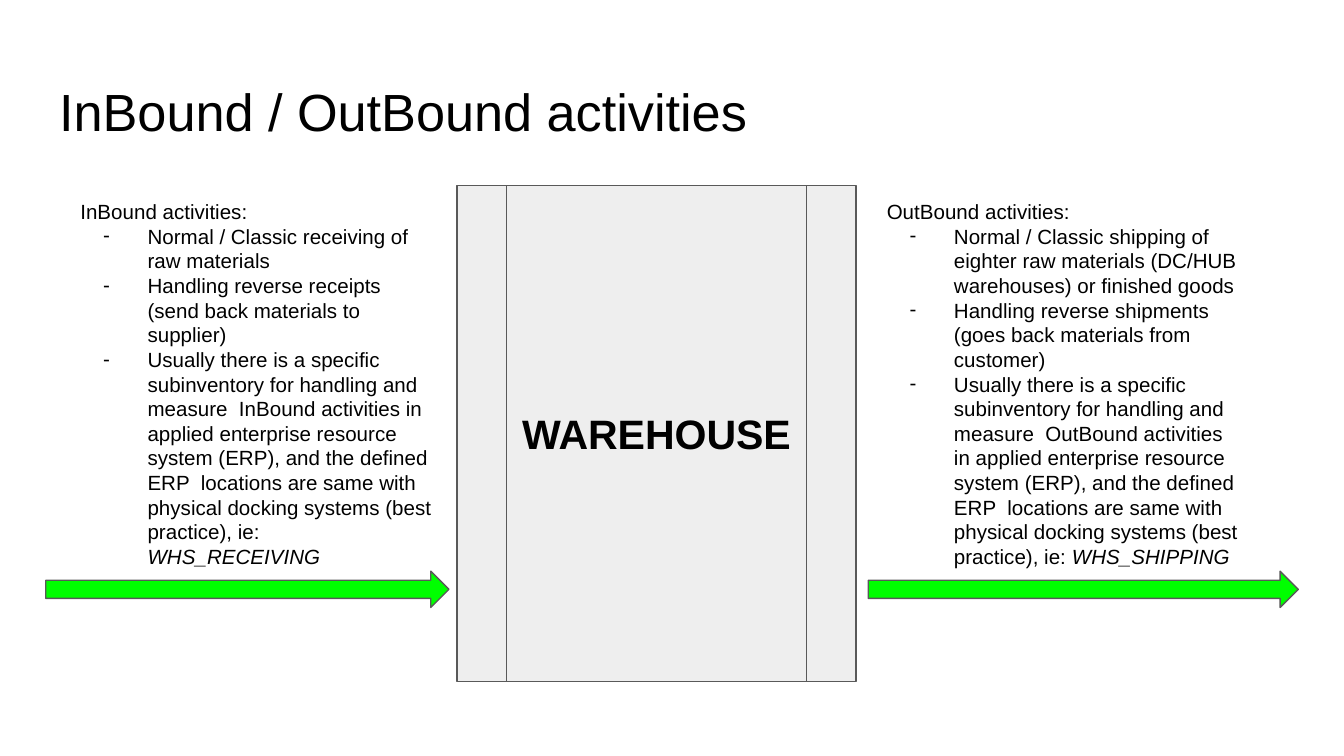
from lxml.etree import SubElement
from pptx import Presentation
from pptx.dml.color import RGBColor
from pptx.enum.shapes import MSO_SHAPE as Shape
from pptx.enum.text import MSO_ANCHOR as Anchor, PP_ALIGN as Align
from pptx.oxml.ns import qn
from pptx.util import Inches, Pt

BLACK, GRAY, BORDER, GREEN = "000000", "EEEEEE", "595959", "00FF00"
USUAL_PRACTICE = (
    "Usually there is a specific subinventory for handling and measure  {} activities "
    "in applied enterprise resource system (ERP), and the defined ERP  locations are "
    "same with physical docking systems (best practice), ie: "
)
INBOUND = [
    "Normal / Classic receiving of raw materials",
    "Handling reverse receipts (send back materials to supplier)",
]
OUTBOUND = [
    "Normal / Classic shipping of eighter raw materials (DC/HUB warehouses) or finished goods",
    "Handling reverse shipments (goes back materials from customer)",
]


def color(value):
    """Turn a hex string into a colour."""
    return RGBColor.from_string(value)


def style_font(paragraph, size, bold=False):
    """Give a paragraph its font."""
    font = paragraph.font
    font.name, font.size, font.bold = "Arial", Pt(size), bold
    font.color.rgb = color(BLACK)


def set_frame(frame, anchor=Anchor.TOP):
    """Set wrapping, anchor and even margins on a text frame."""
    frame.word_wrap = True
    frame.vertical_anchor = anchor
    frame.margin_left = frame.margin_right = Inches(0.1)
    frame.margin_top = frame.margin_bottom = Inches(0.1)


def add_bullet(paragraph, size):
    """Give a paragraph a hanging dash of the given point size."""
    properties = paragraph._p.get_or_add_pPr()
    properties.set("marL", str(Inches(0.5)))
    properties.set("indent", str(Inches(-0.33)))
    bullet_color = SubElement(properties, qn("a:buClr"))
    SubElement(bullet_color, qn("a:srgbClr")).set("val", BLACK)
    SubElement(properties, qn("a:buSzPts")).set("val", str(size * 100))
    SubElement(properties, qn("a:buFont")).set("typeface", "Arial")
    SubElement(properties, qn("a:buChar")).set("char", "-")


def add_block(slide, kind, box, fill):
    """Draw a filled and outlined preset shape in the box."""
    shape = slide.shapes.add_shape(kind, *map(Inches, box))
    shape.shadow.inherit = False
    shape.fill.solid()
    shape.fill.fore_color.rgb = color(fill)
    shape.line.color.rgb = color(BORDER)
    shape.line.width = Pt(0.75)
    return shape


def add_title(slide, box, text):
    """Place and format the title placeholder."""
    title = slide.shapes.title
    title.left, title.top, title.width, title.height = map(Inches, box)
    set_frame(title.text_frame)
    title.text_frame.text = text
    paragraph = title.text_frame.paragraphs[0]
    paragraph.alignment = Align.LEFT
    style_font(paragraph, 28)


def add_warehouse(slide, box):
    """Draw the warehouse block with its label."""
    shape = add_block(slide, Shape.FLOWCHART_PREDEFINED_PROCESS, box, GRAY)
    set_frame(shape.text_frame, Anchor.MIDDLE)
    paragraph = shape.text_frame.paragraphs[0]
    paragraph.text = "WAREHOUSE"
    paragraph.alignment = Align.CENTER
    style_font(paragraph, 22, bold=True)


def add_flow_arrow(slide, box):
    """Draw a left arrow turned to point right."""
    add_block(slide, Shape.LEFT_ARROW, box, GREEN).rotation = 180


def add_activities(slide, box, direction, activities, location):
    """Write a heading and dashed activities, ending with the location in italics."""
    frame = slide.shapes.add_textbox(*map(Inches, box)).text_frame
    set_frame(frame)
    heading = frame.paragraphs[0]
    heading.text = f"{direction} activities:"
    style_font(heading, 11)
    for activity in activities + [USUAL_PRACTICE.format(direction)]:
        paragraph = frame.add_paragraph()
        paragraph.text = activity
        style_font(paragraph, 11)
        add_bullet(paragraph, 11)
    run = paragraph.add_run()
    run.text = location
    run.font.italic = True


def main():
    """Build and save the slide."""
    presentation = Presentation()
    presentation.slide_width = Inches(10)
    presentation.slide_height = presentation.slide_width * 9 // 16
    slide = presentation.slides.add_slide(presentation.slide_layouts[5])
    add_title(slide, (0.34, 0.49, 9.32, 0.63), "InBound / OutBound activities")
    add_warehouse(slide, (3.4, 1.38, 2.97, 3.69))
    for left, width in ((0.34, 3), (6.46, 3.2)):
        add_flow_arrow(slide, (left, 4.25, width, 0.27))
    for left, direction, activities, location in (
        (0.5, "InBound", INBOUND, "WHS_RECEIVING"),
        (6.5, "OutBound", OUTBOUND, "WHS_SHIPPING"),
    ):
        add_activities(slide, (left, 1.38, 2.84, 2.98), direction, activities, location)
    presentation.save("out.pptx")


if __name__ == "__main__":
    main()
